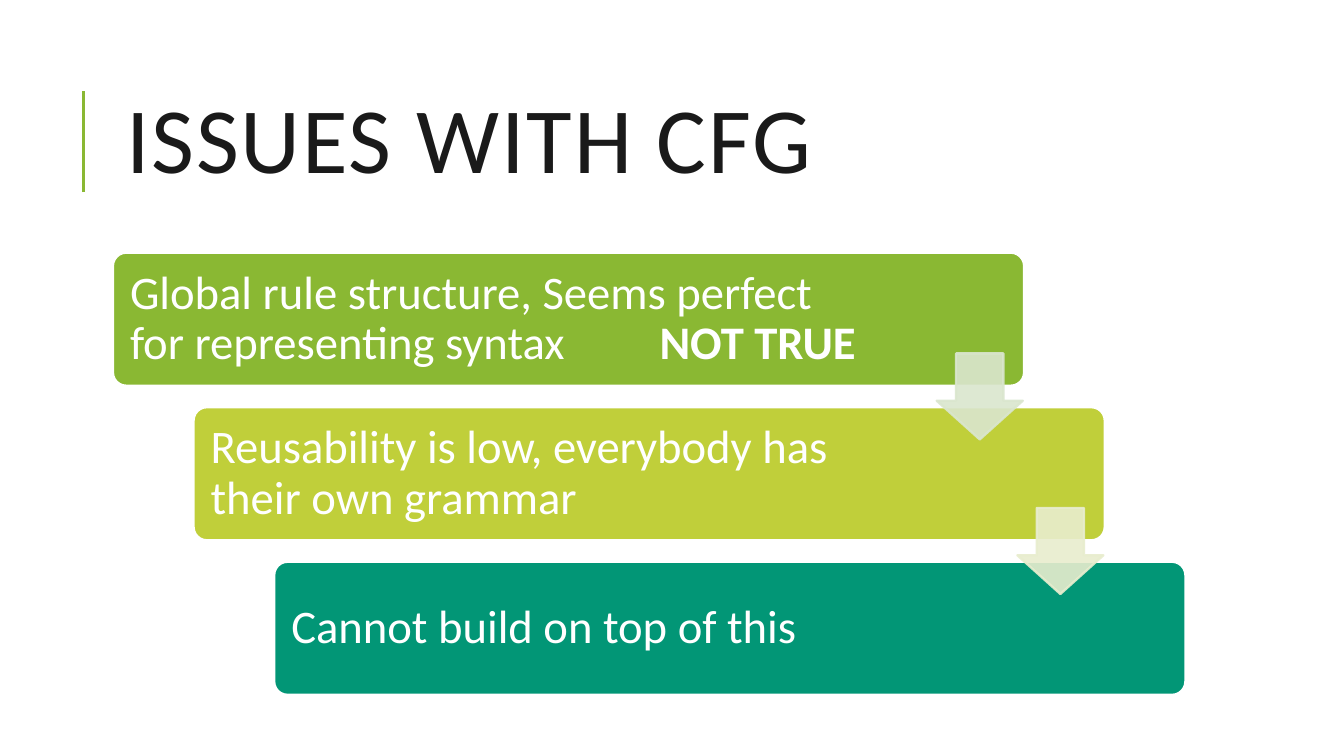
from lxml import etree
from pptx import Presentation
from pptx.dml.color import RGBColor
from pptx.enum.shapes import MSO_CONNECTOR, MSO_SHAPE
from pptx.enum.text import MSO_ANCHOR, PP_ALIGN
from pptx.oxml.ns import qn
from pptx.util import Inches, Pt

TITLE = "ISSUES WITH CFG"
# runs as (text, bold), fill, right inset that sets the line break
STEPS = [
    ([("Global rule structure, Seems perfect for representing syntax\t", False),
      ("NOT TRUE", True)], "8AB833", 1.14),
    ([("Reusability is low, everybody has their own grammar", False)], "C0CF3A", 1.37),
    ([("Cannot build on top of this", False)], "029676", 1.37),
]
ARROWS = ["DAE6CE", "E8EDCE"]

LEFT, TOP, WIDTH, HEIGHT = 0.84, 1.88, 6.78, 0.99
STEP_X, STEP_Y = 0.6, 1.15
ARROW_X, ARROW_Y, ARROW_SIZE = 6.13, 0.75, 0.64
TAB_STOP = 3.94


def rgb(value):
    return RGBColor.from_string(value)


def add_filled(s, kind, box, adjustments, fill, line):
    sp = s.shapes.add_shape(kind, *map(Inches, box))
    sp.shadow.inherit = False
    for i, value in enumerate(adjustments):
        sp.adjustments[i] = value
    sp.fill.solid()
    sp.fill.fore_color.rgb = rgb(fill)
    sp.line.color.rgb = rgb(line)
    sp.line.width = Pt(1.25)
    return sp


def style_paragraph(p, size, color, spacing):
    p.alignment = PP_ALIGN.LEFT
    p.line_spacing = spacing
    p.font.name = "Calibri"
    p.font.size = Pt(size)
    p.font.color.rgb = rgb(color)


def add_title(s):
    rule = s.shapes.add_connector(
        MSO_CONNECTOR.STRAIGHT, *map(Inches, (0.62, 1.43, 0.62, 0.68)))
    rule.line.color.rgb = rgb("8AB833")
    rule.line.width = Pt(1.5)
    etree.SubElement(rule._element.spPr, qn("a:effectLst"))

    tf = s.shapes.add_textbox(*map(Inches, (LEFT, 0.48, 7.97, 1.23))).text_frame
    tf.word_wrap = True
    tf.vertical_anchor = MSO_ANCHOR.MIDDLE
    p = tf.paragraphs[0]
    style_paragraph(p, 50, "1A1A1A", 0.8)
    r = p.add_run()
    r.text = TITLE
    r._r.get_or_add_rPr().set("spc", "100")


def add_step(s, i, runs, fill, right_inset):
    box = (LEFT + i * STEP_X, TOP + i * STEP_Y, WIDTH, HEIGHT)
    sp = add_filled(s, MSO_SHAPE.ROUNDED_RECTANGLE, box, [0.1], fill, "FFFFFF")
    tf = sp.text_frame
    tf.word_wrap = True
    tf.vertical_anchor = MSO_ANCHOR.MIDDLE
    tf.margin_left, tf.margin_right = Inches(0.1), Inches(right_inset)
    tf.margin_top = tf.margin_bottom = Inches(0.1)
    p = tf.paragraphs[0]
    style_paragraph(p, 25, "FFFFFF", 0.9)
    if len(runs) > 1:
        tabs = etree.Element(qn("a:tabLst"))
        etree.SubElement(tabs, qn("a:tab"), pos=str(Inches(TAB_STOP)), algn="l")
        p._p.pPr.find(qn("a:defRPr")).addprevious(tabs)
    for text, bold in runs:
        r = p.add_run()
        r.text = text
        r.font.bold = bold


def add_arrow(s, i, color):
    box = (LEFT + i * STEP_X + ARROW_X, TOP + i * STEP_Y + ARROW_Y,
           ARROW_SIZE, ARROW_SIZE)
    sp = add_filled(s, MSO_SHAPE.DOWN_ARROW, box, [0.55, 0.45], color, color)
    for clr in sp._element.spPr.iter(qn("a:srgbClr")):
        etree.SubElement(clr, qn("a:alpha"), val="90000")


def main():
    prs = Presentation()
    prs.slide_width = Inches(10)
    prs.slide_height = prs.slide_width * 9 // 16
    s = prs.slides.add_slide(prs.slide_layouts[6])
    add_title(s)
    for i, step in enumerate(STEPS):
        add_step(s, i, *step)
    for i, color in enumerate(ARROWS):
        add_arrow(s, i, color)
    prs.save("out.pptx")


if __name__ == "__main__":
    main()
